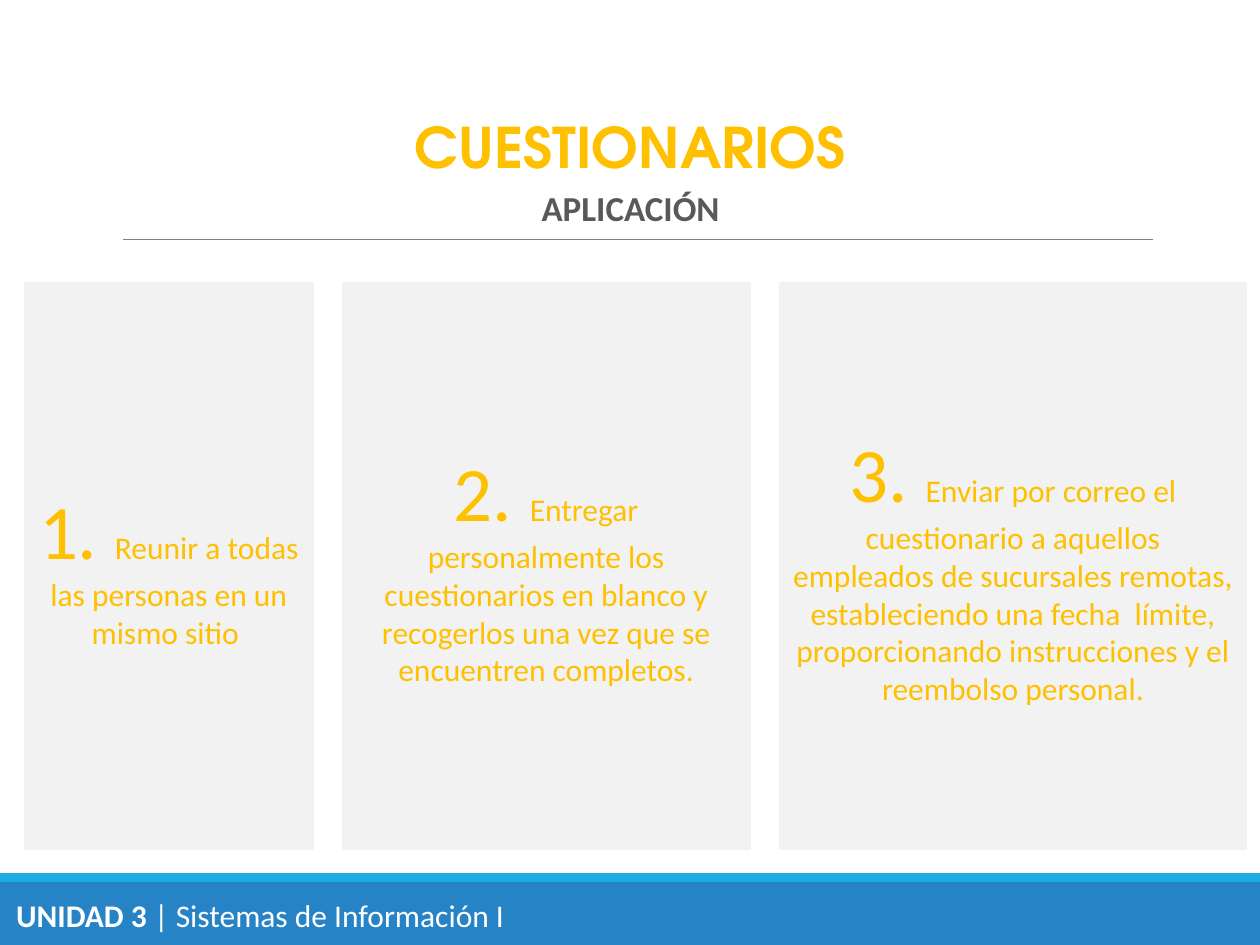
"""Build the slide on how questionnaires are applied."""
from lxml.etree import SubElement
from pptx import Presentation
from pptx.dml.color import RGBColor
from pptx.enum.shapes import MSO_CONNECTOR, MSO_SHAPE
from pptx.enum.text import MSO_ANCHOR, MSO_AUTO_SIZE, PP_ALIGN
from pptx.oxml.ns import qn
from pptx.util import Inches, Pt

AMBER = RGBColor(0xFF, 0xC0, 0x00)
DARK = RGBColor(0x59, 0x59, 0x59)
GRAY = RGBColor(0x80, 0x80, 0x80)
PALE = RGBColor(0xF2, 0xF2, 0xF2)
BLUE = RGBColor(0x26, 0x83, 0xC6)
CYAN = RGBColor(0x1C, 0xAD, 0xE4)
WHITE = RGBColor(0xFF, 0xFF, 0xFF)

HEADINGS = [
    ("CUESTIONARIOS", "TeX Gyre Adventor", 32, AMBER, 0),
    ("APLICACIÓN", "Calibri", 20, DARK, 4),
]
FOOTER = [("UNIDAD 3 ", True), ("| Sistemas de Información I", False)]
BANDS = [(7, 0.5, BLUE), (6.93, 0.07, CYAN)]
STEPS = [
    (2.28, "Reunir a todas las personas en un mismo sitio "),
    (3.23, "Entregar personalmente los cuestionarios en blanco y recogerlos "
           "una vez que se encuentren completos."),
    (3.7, "Enviar por correo el cuestionario a aquellos empleados de sucursales "
          "remotas, estableciendo una fecha  límite, proporcionando "
          "instrucciones y el reembolso personal."),
]
CARD_LEFT, CARD_TOP, CARD_HEIGHT, CARD_GAP = 0.2, 2.25, 4.49, 0.24


def style(font, size, color, bold=False, name="Calibri"):
    font.name, font.size, font.bold = name, Pt(size), bold
    font.color.rgb = color


def add_run(p, text, size, color, bold=False):
    r = p.add_run()
    r.text = text
    style(r.font, size, color, bold)


def add_box(s, left, top, width, height, color):
    sp = s.shapes.add_shape(MSO_SHAPE.RECTANGLE, Inches(left), Inches(top),
                            Inches(width), Inches(height))
    sp.shadow.inherit = False
    sp.fill.solid()
    sp.fill.fore_color.rgb = color
    sp.line.fill.background()
    return sp


def add_title(s):
    sp = s.shapes.title
    sp.left, sp.top, sp.width, sp.height = map(Inches, (0.28, 0.84, 9.45, 1.26))
    tf = sp.text_frame
    tf.text = "\n".join(h[0] for h in HEADINGS)
    tf.auto_size = MSO_AUTO_SIZE.NONE
    tf.vertical_anchor = MSO_ANCHOR.TOP
    for p, (_, name, size, color, before) in zip(tf.paragraphs, HEADINGS):
        p.alignment = PP_ALIGN.CENTER
        p.space_before = Pt(before)
        style(p.runs[0].font, size, color, True, name)


def add_rule(s):
    rule = s.shapes.add_connector(MSO_CONNECTOR.STRAIGHT, Inches(0.98),
                                  Inches(1.9), Inches(9.15), Inches(1.9))
    rule.line.color.rgb = GRAY
    rule.line.width = Pt(0.5)
    SubElement(rule._element.spPr, qn("a:effectLst"))


def add_footer(s):
    for top, height, color in BANDS:
        add_box(s, 0, top, 10, height, color)
    sp = s.shapes.add_textbox(Inches(0.03), Inches(7.06), Inches(4.12), Inches(0.4))
    tf = sp.text_frame
    tf.word_wrap = False
    tf.auto_size = MSO_AUTO_SIZE.SHAPE_TO_FIT_TEXT
    for text, bold in FOOTER:
        add_run(tf.paragraphs[0], text, 18, WHITE, bold)


def add_steps(s):
    left = CARD_LEFT
    for number, (width, text) in enumerate(STEPS, 1):
        sp = add_box(s, left, CARD_TOP, width, CARD_HEIGHT, PALE)
        sp.line.color.rgb = PALE
        sp.line.width = Pt(1.25)
        tf = sp.text_frame
        tf.word_wrap = True
        tf.vertical_anchor = MSO_ANCHOR.MIDDLE
        p = tf.paragraphs[0]
        p.alignment = PP_ALIGN.CENTER
        add_run(p, f"{number}. ", 44, AMBER)
        add_run(p, text, 18, AMBER)
        left += width + CARD_GAP


def main():
    prs = Presentation()
    prs.slide_width, prs.slide_height = Inches(10), Inches(7.5)
    s = prs.slides.add_slide(prs.slide_layouts[5])
    add_title(s)
    add_rule(s)
    add_footer(s)
    add_steps(s)
    prs.save("out.pptx")


if __name__ == "__main__":
    main()
